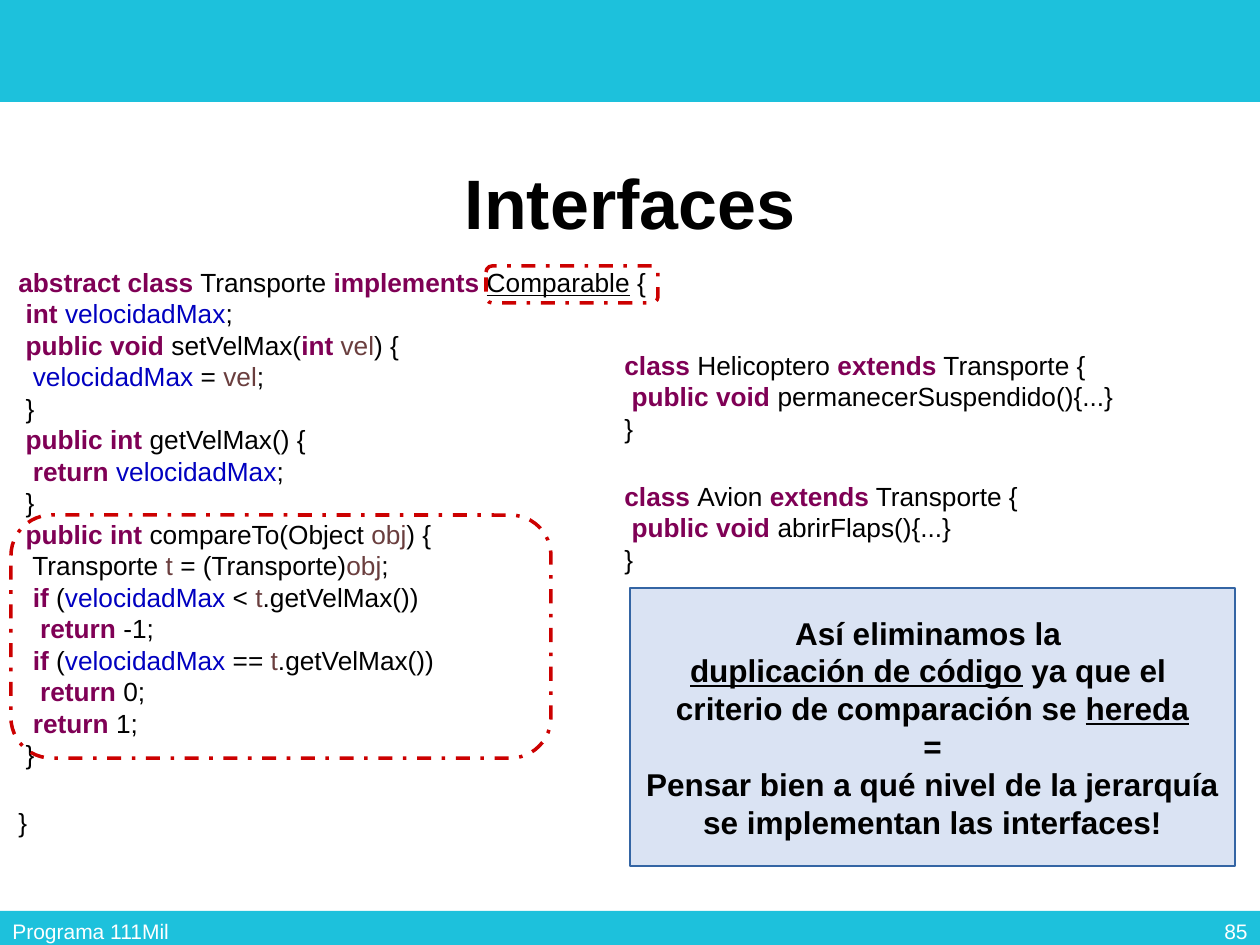
from dataclasses import dataclass

from pptx import Presentation
from pptx import util as u
from pptx.dml.color import RGBColor
from pptx.enum import dml, shapes, text

PX = 914400 / 126  # EMU in one px


def px(*lengths):
    return [u.Emu(round(length * PX)) for length in lengths]


@dataclass(frozen=True)
class Theme:
    font: str = "Arial"
    band: str = "1DC1DC"
    ink: str = "000000"
    white: str = "FFFFFF"
    keyword: str = "7F0055"
    field: str = "0000C0"
    variable: str = "6A3E3E"
    mark: str = "CC0000"
    callout_fill: str = "DAE3F3"
    callout_line: str = "3465A4"
    title_size: int = 40
    callout_size: int = 18
    code_size: int = 15
    footer_size: int = 12


class SlideBuilder:
    """Holds the theme and the page; a "|" in a line separates its spans.

    A span may start with * (keyword), $ (field), % (variable) or _ (underlined).
    """

    def __init__(self, theme, page):
        self.theme = theme
        self.page = page

    def style(self, span, size, color, bold=False):
        font = span.font
        font.name, font.size, font.bold = self.theme.font, u.Pt(size), bold
        font.color.rgb = RGBColor.from_string(color)

    def add_spans(self, para, line, size, color, bold=False):
        theme = self.theme
        colors = {"*": theme.keyword, "$": theme.field, "%": theme.variable}
        for part in line.split("|"):
            sign = part[0] if part[0] in "*$%_" else ""
            span = para.add_run()
            span.text = part[len(sign):]
            self.style(span, size, colors.get(sign, color), bold or sign == "*")
            if sign == "_":
                span.font.underline = True

    def add_lines(self, frame, lines, size, color, bold=False, align=None):
        frame.word_wrap = True
        for index, line in enumerate(lines):
            para = frame.add_paragraph() if index else frame.paragraphs[0]
            para.alignment = align
            self.add_spans(para, line, size, color, bold)

    def title(self, words, *bounds):
        box = self.page.shapes.title
        box.left, box.top, box.width, box.height = px(*bounds)
        frame = box.text_frame
        frame.text = words
        frame.vertical_anchor = text.MSO_ANCHOR.MIDDLE
        para = frame.paragraphs[0]
        para.alignment, para.line_spacing = text.PP_ALIGN.CENTER, 0.9
        self.style(para.runs[0], self.theme.title_size, self.theme.ink, True)

    def shape(self, kind, bounds, fill=None, line=None, width=0.75):
        shape = self.page.shapes.add_shape(kind, *px(*bounds))
        shape.shadow.inherit = False
        if fill:
            shape.fill.solid()
            shape.fill.fore_color.rgb = RGBColor.from_string(fill)
        else:
            shape.fill.background()
        if line:
            shape.line.color.rgb = RGBColor.from_string(line)
            shape.line.width = u.Pt(width)
        else:
            shape.line.fill.background()
        return shape

    def band(self, top, height):
        self.shape(shapes.MSO_SHAPE.RECTANGLE, (0, top, 1260, height), self.theme.band)

    def mark(self, *bounds):
        outline = self.shape(shapes.MSO_SHAPE.ROUNDED_RECTANGLE, bounds,
                             line=self.theme.mark, width=2)
        outline.line.dash_style = dml.MSO_LINE.DASH_DOT

    def code(self, lines, gap_before, *bounds):
        frame = self.page.shapes.add_textbox(*px(*bounds)).text_frame
        self.add_lines(frame, lines, self.theme.code_size, self.theme.ink)
        frame.paragraphs[gap_before].space_before = u.Pt(20.7)

    def footer(self, words, align, *bounds):
        frame = self.page.shapes.add_textbox(*px(*bounds)).text_frame
        frame.vertical_anchor = text.MSO_ANCHOR.MIDDLE
        self.add_lines(frame, [words], self.theme.footer_size, self.theme.white,
                       align=align)

    def callout(self, lines, *bounds):
        theme = self.theme
        box = self.shape(shapes.MSO_SHAPE.RECTANGLE, bounds,
                         theme.callout_fill, theme.callout_line)
        box.text_frame.vertical_anchor = text.MSO_ANCHOR.MIDDLE
        self.add_lines(box.text_frame, lines, theme.callout_size, theme.ink, True,
                       text.PP_ALIGN.CENTER)


TRANSPORTE = [
    "*abstract class| Transporte |*implements |_Comparable| {",
    "* int |$velocidadMax|;",
    "* public void |setVelMax(|*int |%vel|) {",
    "$  velocidadMax| = |%vel|;",
    " }",
    "* public int |getVelMax() {",
    "*  return |$velocidadMax|;",
    " }",
    "* public int |compareTo(Object |%obj|) {",
    "  Transporte |%t| = (Transporte)|%obj|;",
    "*  if| (|$velocidadMax| < |%t|.getVelMax())",
    "*   return| -1;",
    "*  if| (|$velocidadMax| == |%t|.getVelMax())",
    "*   return| 0;",
    "*  return |1;",
    " }",
    "}",
]

SUBCLASSES = [
    "*class |Helicoptero |*extends| Transporte {",
    "* public void |permanecerSuspendido(){...}",
    "}",
    "*class |Avion |*extends| Transporte {",
    "* public void |abrirFlaps(){...}",
    "}",
]

CONCLUSION = [
    "Así eliminamos la ",
    "_duplicación de código| ya que el ",
    "criterio de comparación se |_hereda",
    "=",
    "Pensar bien a qué nivel de la jerarquía",
    "se implementan las interfaces!",
]


def main():
    deck = Presentation()
    deck.slide_width, deck.slide_height = px(1260, 945)
    page = deck.slides.add_slide(deck.slide_layouts[5])
    builder = SlideBuilder(Theme(), page)

    # Bands, title and footer
    builder.band(0, 102)
    builder.band(911, 39)
    builder.title("Interfaces", 87, 123, 1086, 168)
    builder.footer("Programa 111Mil", text.PP_ALIGN.LEFT, 0, 906, 426, 50)
    builder.footer("85", text.PP_ALIGN.RIGHT, 976, 906, 284, 50)

    # Code: base class and its subclasses
    builder.code(TRANSPORTE, 16, 6, 260, 883, 568)
    builder.code(SUBCLASSES, 3, 612, 343, 648, 408)

    # Marks around the interface and its method
    builder.mark(486, 266, 172, 37)
    builder.mark(11, 515, 540, 243)

    # Conclusion
    builder.callout(CONCLUSION, 630, 588, 605, 278)

    deck.save("out.pptx")


if __name__ == "__main__":
    main()
